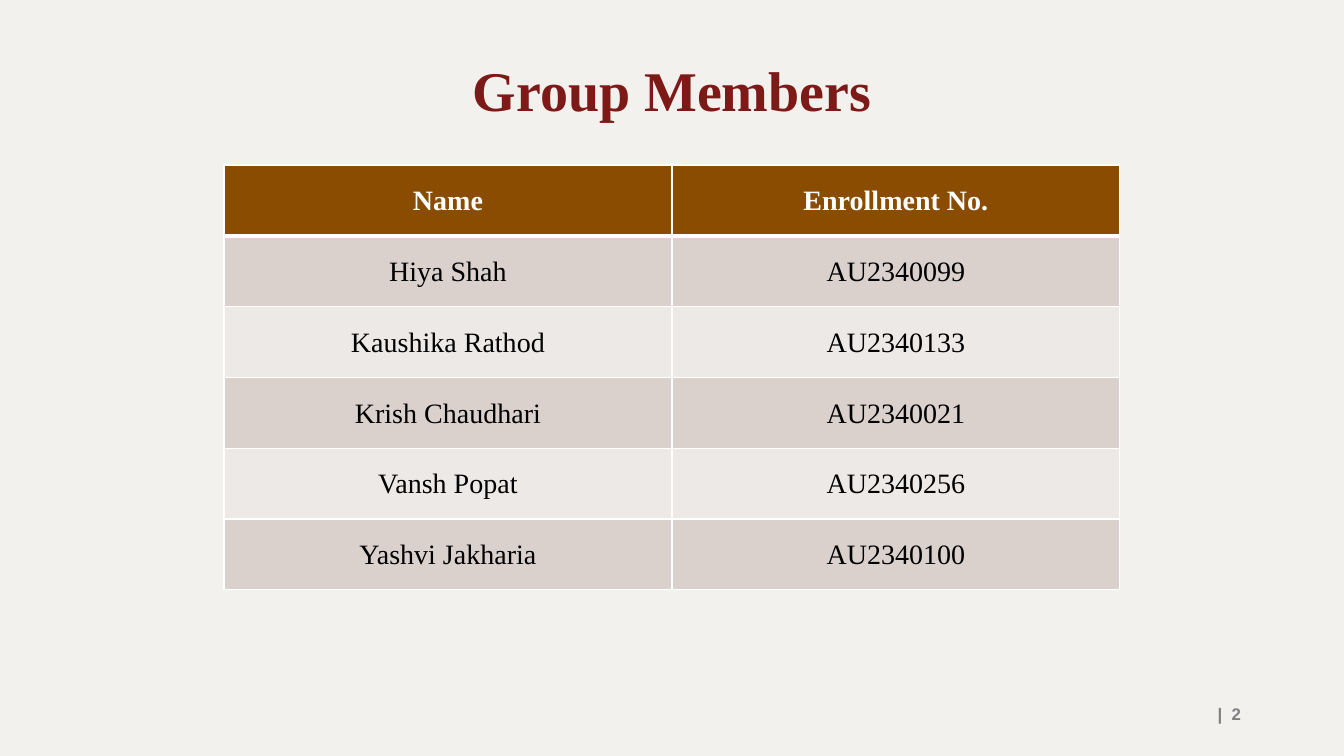
"""Build the group members slide: a title, a table of names and a page number."""
from lxml import etree
from pptx import Presentation
from pptx import util as u
from pptx.dml.color import RGBColor
from pptx.enum import text
from pptx.oxml.ns import qn

THEME = {
    "bg": "F2F1EE", "title": "7D1916", "header": "894C00", "bands": ("DAD0CC", "EDE9E7"),
    "white": "FFFFFF", "body": "000000", "muted": "7F7F7F",
    "serif": "Times New Roman", "sans": "Arial",
    "title_pt": 40, "table_pt": 20, "page_pt": 12,
}
MEMBERS = [
    ("Name", "Enrollment No."),
    ("Hiya Shah", "AU2340099"),
    ("Kaushika Rathod", "AU2340133"),
    ("Krish Chaudhari", "AU2340021"),
    ("Vansh Popat", "AU2340256"),
    ("Yashvi Jakharia", "AU2340100"),
]


def px(*lengths):
    """Turn px lengths into EMU at 100.8 px to the inch."""
    return [u.Inches(n / 100.8) for n in lengths]


def add_text(tf, words, font, size, color, bold, align, spacing):
    """Write one formatted run in the first paragraph of a text frame."""
    p = tf.paragraphs[0]
    p.alignment = align
    p.line_spacing = spacing
    r = p.add_run()
    r.text = words
    r.font.name = font
    r.font.size = u.Pt(size)
    r.font.bold = bold
    r.font.color.rgb = RGBColor.from_string(color)


prs = Presentation()
prs.slide_width, prs.slide_height = px(1344, 756)
s = prs.slides.add_slide(prs.slide_layouts[5])
s.background.fill.solid()
s.background.fill.fore_color.rgb = RGBColor.from_string(THEME["bg"])

title = s.shapes.title
title.left, title.top, title.width, title.height = px(339, 49, 666, 80)
tf = title.text_frame
tf.word_wrap = True
tf.auto_size = text.MSO_AUTO_SIZE.NONE
tf.vertical_anchor = text.MSO_ANCHOR.BOTTOM
add_text(tf, "Group Members", THEME["serif"], THEME["title_pt"], THEME["title"],
         True, text.PP_ALIGN.CENTER, 0.9)

table = s.shapes.add_table(len(MEMBERS), 2, *px(224, 165, 896, 425)).table
for i, member in enumerate(MEMBERS):
    header = i == 0
    fill = THEME["header"] if header else THEME["bands"][(i - 1) % 2]
    for j, words in enumerate(member):
        cell = table.cell(i, j)
        add_text(cell.text_frame, words, THEME["serif"], THEME["table_pt"],
                 THEME["white"] if header else THEME["body"], header,
                 text.PP_ALIGN.CENTER, 1.5)
        tcPr = cell._tc.get_or_add_tcPr()
        for side in ("lnL", "lnR", "lnT", "lnB"):
            thick = (header and side == "lnB") or (i == 1 and side == "lnT")
            ln = etree.SubElement(tcPr, qn(f"a:{side}"), w=str(u.Pt(3 if thick else 1)))
            solid = etree.SubElement(ln, qn("a:solidFill"))
            etree.SubElement(solid, qn("a:srgbClr"), val=THEME["white"])
        cell.fill.solid()
        cell.fill.fore_color.rgb = RGBColor.from_string(fill)

page = s.shapes.add_textbox(*px(1190, 693, 61, 41))
tf = page.text_frame
tf.word_wrap = True
tf.vertical_anchor = text.MSO_ANCHOR.MIDDLE
add_text(tf, "|  2", THEME["sans"], THEME["page_pt"], THEME["muted"],
         True, text.PP_ALIGN.RIGHT, 1.0)

prs.save("out.pptx")
